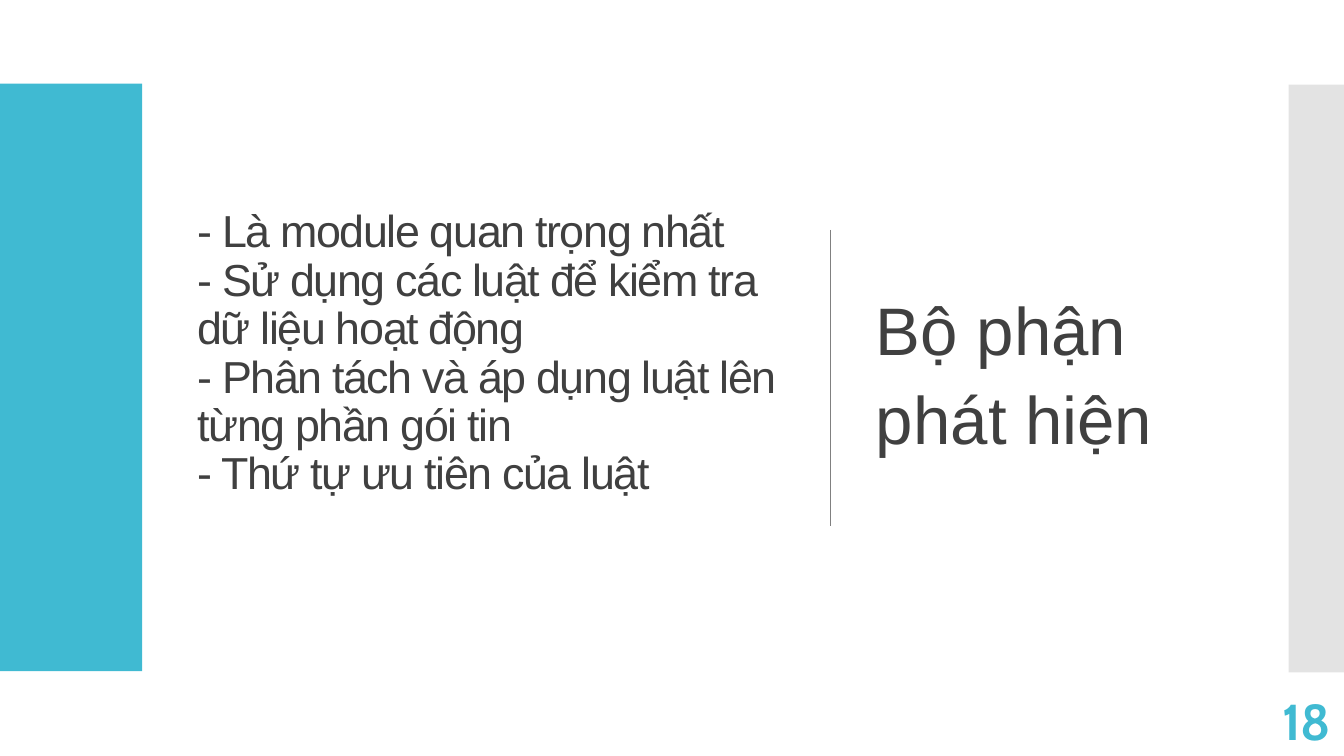
from lxml import etree
from pptx import Presentation
from pptx.dml.color import RGBColor
from pptx.enum.shapes import MSO_CONNECTOR, MSO_SHAPE
from pptx.enum.text import MSO_ANCHOR, PP_ALIGN
from pptx.oxml.ns import qn
from pptx.util import Inches, Pt

TEAL = RGBColor(0x40, 0xBA, 0xD2)
PALE_GRAY = RGBColor(0xC8, 0xC8, 0xC8)
LINE_GRAY = RGBColor(0x80, 0x80, 0x80)
TEXT_GRAY = RGBColor(0x40, 0x40, 0x40)


def add_band(left, top, width, color):
    sp = s.shapes.add_shape(MSO_SHAPE.RECTANGLE, Inches(left), Inches(top),
                            Inches(width), Inches(5.83))
    sp.shadow.inherit = False
    sp.fill.solid()
    sp.fill.fore_color.rgb = color
    sp.line.fill.background()
    return sp


def add_text(left, top, width, height, lines, size, color, font="Arial",
             bold=False, align=PP_ALIGN.LEFT, line_spacing=0.9, gap=0, tracking=0):
    """Add a middle-anchored box, one paragraph per line; gap and tracking in points."""
    tf = s.shapes.add_textbox(Inches(left), Inches(top), Inches(width), Inches(height)).text_frame
    tf.word_wrap = True
    tf.vertical_anchor = MSO_ANCHOR.MIDDLE
    for i, line in enumerate(lines):
        p = tf.paragraphs[0] if i == 0 else tf.add_paragraph()
        p.alignment = align
        p.line_spacing = line_spacing
        if i and gap:
            p.space_before = Pt(gap)
        r = p.add_run()
        r.text = line
        r.font.size = Pt(size)
        r.font.name = font
        r.font.bold = bold
        r.font.color.rgb = color
        if tracking:
            r.font._element.set("spc", str(tracking * 100))
    return tf


prs = Presentation()
prs.slide_width = Inches(13.33)
prs.slide_height = Inches(7.5)
s = prs.slides.add_slide(prs.slide_layouts[6])

points = [
    "- Là module quan trọng nhất",
    "- Sử dụng các luật để kiểm tra dữ liệu hoạt động",
    "- Phân tách và áp dụng luật lên từng phần gói tin",
    "- Thứ tự ưu tiên của luật",
]
tf = add_text(1.86, 1.19, 6.03, 5.13, points, 32, TEXT_GRAY, tracking=-1)
tf.margin_bottom = Inches(0.53)
add_text(8.59, 1.19, 3.84, 5.13, ["Bộ phận", "phát hiện"], 48, TEXT_GRAY, gap=12)

add_band(0, 0.83, 1.41, TEAL)

divider = s.shapes.add_connector(MSO_CONNECTOR.STRAIGHT, Inches(8.24), Inches(2.28),
                                 Inches(8.24), Inches(5.22))
divider.line.color.rgb = LINE_GRAY
divider.line.width = Pt(1)
etree.SubElement(divider._element.spPr, qn("a:effectLst"))

right_band = add_band(12.78, 0.84, 0.56, PALE_GRAY)
color = right_band._element.spPr.find(qn("a:solidFill")).find(qn("a:srgbClr"))
etree.SubElement(color, qn("a:alpha")).set("val", "50000")

add_text(11.63, 6.95, 1.67, 0.4, ["18"], 36, TEAL, font="Cabin", bold=True,
         align=PP_ALIGN.RIGHT, line_spacing=1.0)

prs.save("out.pptx")
